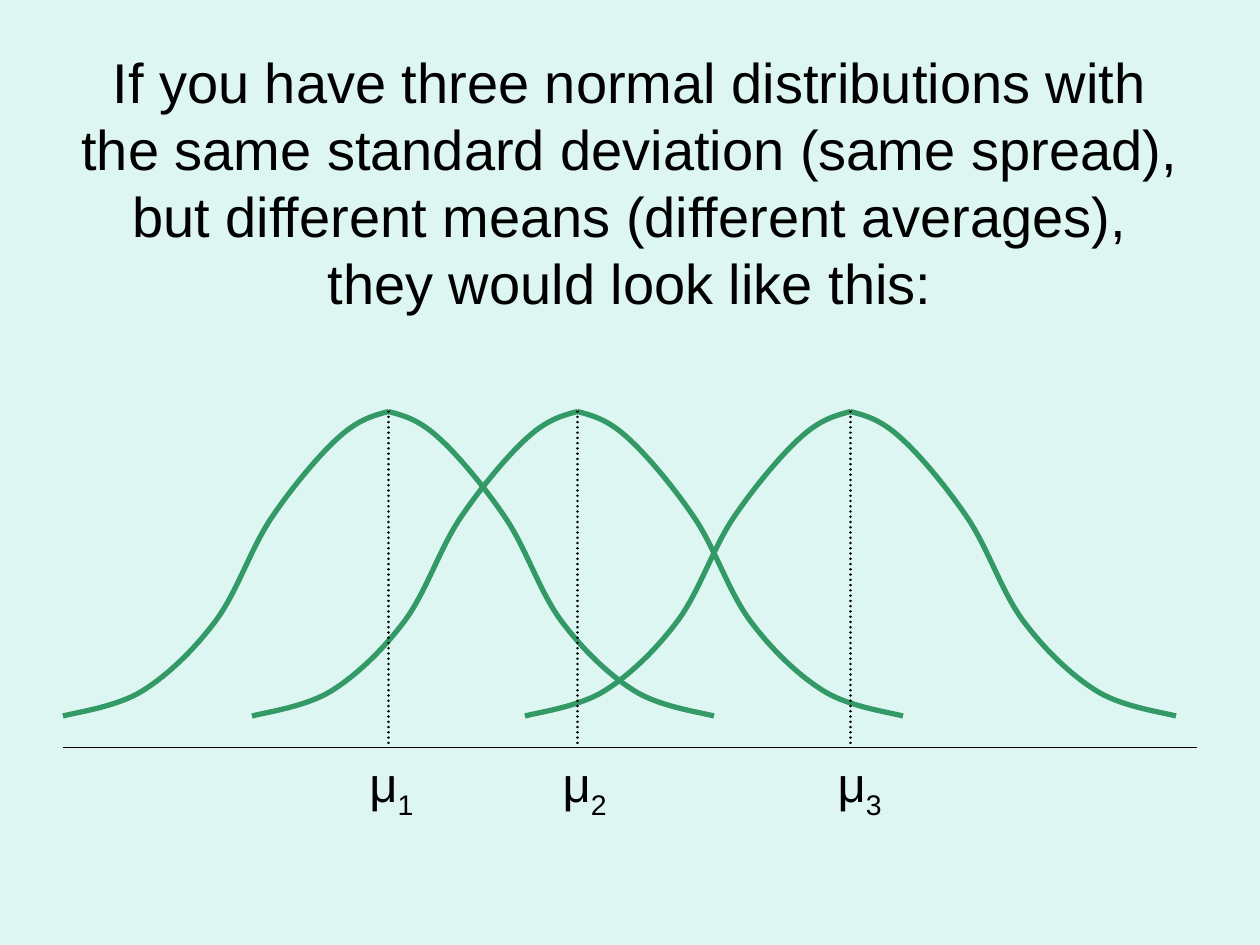
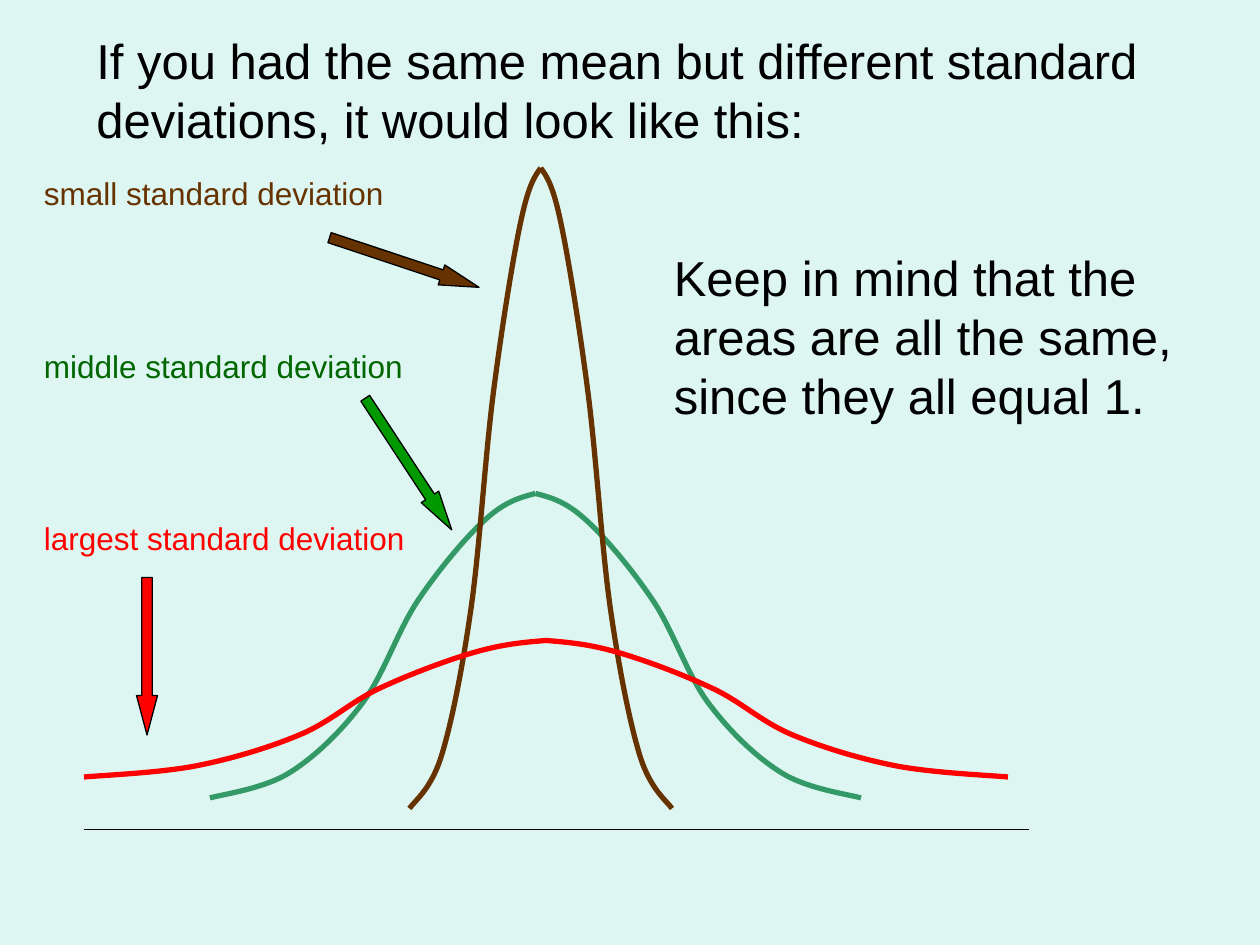
from lxml import etree
from pptx import Presentation
from pptx.dml.color import RGBColor
from pptx.enum.dml import MSO_LINE
from pptx.enum.shapes import MSO_CONNECTOR, MSO_SHAPE
from pptx.enum.text import MSO_ANCHOR, PP_ALIGN
from pptx.oxml.ns import qn
from pptx.util import Inches, Pt

STRAIGHT = MSO_CONNECTOR.STRAIGHT
RIGHT_ARROW = MSO_SHAPE.RIGHT_ARROW
DOTTED = MSO_LINE.ROUND_DOT
TOP, MIDDLE = MSO_ANCHOR.TOP, MSO_ANCHOR.MIDDLE
LEFT, CENTER = PP_ALIGN.LEFT, PP_ALIGN.CENTER

FONT = "Arial"
BACKGROUND, BLACK = "DEF6F1", "000000"
SEA_GREEN, BROWN, RED = "339966", "663300", "FF0000"
DARK_GREEN, GREEN = "006600", "009900"

# Every position is in cells of a grid of 120 columns and 90 rows.
CELL = Inches(10) // 120

# Right half of a bell: cubic Bezier points after the peak, three to a curve,
# in percent of the half width and the height.
BELL = [(4.6, 1.3), (9.2, 2.6), (15.2, 8.4), (21.2, 14.1), (29.7, 25), (36, 35),
        (42.3, 45), (46.4, 59), (52.9, 68.5), (59.5, 78), (67.6, 86.4),
        (75.5, 91.7), (83.4, 97), (96, 98.8), (100, 100)]


def set_color(fill, color):
    fill.solid()
    fill.fore_color.rgb = RGBColor.from_string(color)


def add_text(slide, box, paragraphs, size=28, colors=(BLACK,), align=LEFT,
             anchor=TOP, gap=0, tabs=()):
    """Add a text box; each paragraph is a tuple of runs, and digit runs are subscripts."""
    frame = slide.shapes.add_textbox(*[int(n * CELL) for n in box]).text_frame
    frame.word_wrap = True
    frame.vertical_anchor = anchor
    for index, (runs, color) in enumerate(zip(paragraphs, colors)):
        paragraph = frame.add_paragraph() if index else frame.paragraphs[0]
        paragraph.alignment = align
        if index:
            paragraph.space_before = Pt(gap)
        if tabs:
            tab_list = etree.SubElement(paragraph._p.get_or_add_pPr(), qn("a:tabLst"))
            for tab in tabs:
                etree.SubElement(tab_list, qn("a:tab"), pos=str(int(tab * CELL)), algn="l")
        for text in runs:
            run = paragraph.add_run()
            run.text = text
            run.font.name = FONT
            run.font.size = Pt(size)
            set_color(run.font.fill, color)
            if text.isdigit():
                run._r.get_or_add_rPr().set("baseline", "-25000")


presentation = Presentation()
presentation.slide_width, presentation.slide_height = 120 * CELL, 90 * CELL
blank_layout = presentation.slide_layouts[6]
means_slide, spreads_slide = [presentation.slides.add_slide(blank_layout) for _ in range(2)]
for slide in presentation.slides:
    set_color(slide.background.fill, BACKGROUND)

# Titles
add_text(means_slide, (6, 3.6, 108, 27.4),
         [("If you have three normal distributions with the same standard deviation "
           "(same spread), but different means (different averages), "
           "they would look like this:",)],
         size=32, align=CENTER, anchor=MIDDLE)
add_text(spreads_slide, (8, 4, 105, 9),
         [("If you had the same mean but different standard deviations, "
           "it would look like this:",)],
         anchor=MIDDLE)

# Bell curves: mean, top, half width, height, colour
MEANS, PEAK, AXIS = (37, 55, 81), 39.2, 71.2
curves = [(means_slide, mean, PEAK, 31, 29, SEA_GREEN) for mean in MEANS]
curves += [(spreads_slide, 51, 47, 31, 29, SEA_GREEN),
           (spreads_slide, 51.5, 16, 12.5, 61, BROWN),
           (spreads_slide, 52, 61, 44, 13, RED)]
for slide, mean, top, half_width, height, color in curves:
    for side in (1, -1):
        builder = slide.shapes.build_freeform(int(mean * CELL), int(top * CELL))
        builder.add_line_segments(
            [(int((mean + side * half_width * x / 100) * CELL),
              int((top + height * y / 100) * CELL)) for x, y in BELL], close=False)
        half_bell = builder.convert_to_shape()
        # Join every three straight segments into one Bezier curve.
        outline = half_bell._element.find(".//" + qn("a:path"))
        segments = outline.findall(qn("a:lnTo"))
        for start in range(0, len(segments), 3):
            bezier = etree.SubElement(outline, qn("a:cubicBezTo"))
            for segment in segments[start:start + 3]:
                bezier.append(segment[0])
                outline.remove(segment)
        half_bell.shadow.inherit = False
        half_bell.fill.background()
        set_color(half_bell.line.fill, color)
        half_bell.line.width = Pt(3)

# Axes and dotted mean lines
lines = [(means_slide, (6, AXIS, 114, AXIS), False),
         (spreads_slide, (8, 79, 98, 79), False)]
lines += [(means_slide, (mean, PEAK, mean, AXIS), True) for mean in MEANS]
for slide, ends, is_mean in lines:
    line = slide.shapes.add_connector(STRAIGHT, *[int(n * CELL) for n in ends])
    etree.SubElement(line._element.spPr, qn("a:effectLst"))
    set_color(line.line.fill, BLACK)
    line.line.width = Pt(1.5 if is_mean else 0.75)
    if is_mean:
        line.line.dash_style = DOTTED
        line.get_or_add_ln().set("cap", "rnd")

# Labels and note
add_text(means_slide, (34, AXIS, 57, 7.5), [("μ", "1", "\tμ", "2", "\tμ", "3")],
         tabs=(18.4, 44.6))
add_text(spreads_slide, (63, 23, 51, 18),
         [("Keep in mind that the areas are all the same, since they all equal 1.",)])
add_text(spreads_slide, (3, 16, 41, 37.7),
         [(f"{spread} standard deviation",) for spread in ("small", "middle", "largest")],
         size=18, colors=(BROWN, DARK_GREEN, RED), gap=77)

# Arrows from the labels to the curves
for left, top, angle, color in [(31, 24, 18.4, BROWN), (31.4, 43.2, 56.7, GREEN),
                                (6.5, 61.5, 90, RED)]:
    arrow = spreads_slide.shapes.add_shape(
        RIGHT_ARROW, int(left * CELL), int(top * CELL), 15 * CELL, 2 * CELL)
    arrow.shadow.inherit = False
    arrow.adjustments[1] = 1.88
    arrow.rotation = angle
    set_color(arrow.fill, color)
    set_color(arrow.line.fill, BLACK)
    arrow.line.width = Pt(0.75)

presentation.save("out.pptx")
